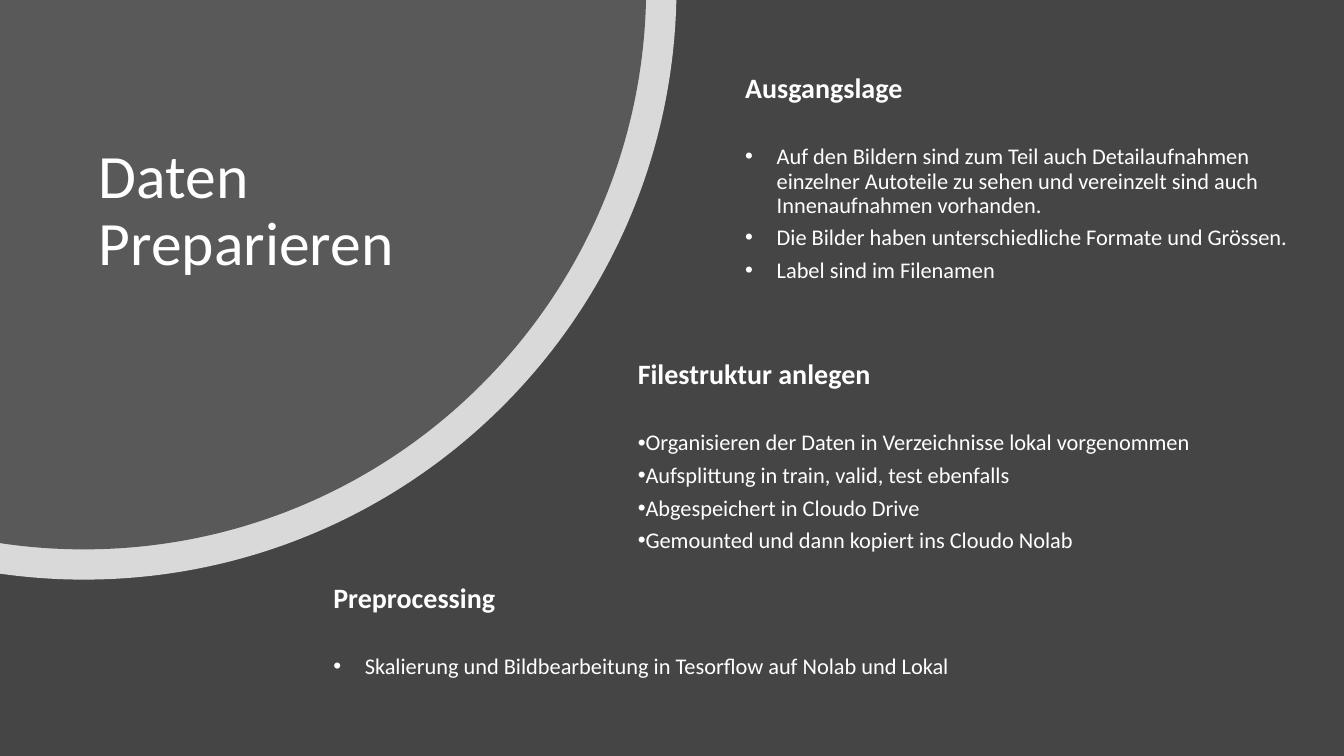
import math
from dataclasses import dataclass

from lxml import etree
from pptx import Presentation
from pptx.dml.color import RGBColor
from pptx.enum.text import MSO_ANCHOR
from pptx.oxml.ns import qn
from pptx.slide import Slide
from pptx.util import Pt

MIDDLE = MSO_ANCHOR.MIDDLE
FONT = "Calibri"
COLORS = {"background": "454545", "disc": "595959", "white": "FFFFFF"}
DISC_CENTER = (59.8, -9.4)
BLANK_LAYOUT = 6


@dataclass(frozen=True)
class Disc:
    radius: float
    color: str
    opacity: int


@dataclass(frozen=True)
class Section:
    left: float
    top: float
    width: float
    height: float
    margin: float
    indent: float
    heading: str
    bullets: tuple[str, ...]


DISCS = (Disc(423.4, "white", 80), Disc(401.8, "disc", 100))
SECTIONS = (
    Section(525.2, 49.7, 406, 177, 22.5, -22.5, "Ausgangslage", (
        "Auf den Bildern sind zum Teil auch Detailaufnahmen einzelner Autoteile "
        "zu sehen und vereinzelt sind auch Innenaufnahmen vorhanden.",
        "Die Bilder haben unterschiedliche Formate und Grössen.",
        "Label sind im Filenamen",
    )),
    Section(448.5, 254, 435, 149, 0, -18, "Filestruktur anlegen", (
        "Organisieren der Daten in Verzeichnisse lokal vorgenommen",
        "Aufsplittung in train, valid, test ebenfalls",
        "Abgespeichert in Cloudo Drive",
        "Gemounted und dann kopiert ins Cloudo Nolab",
    )),
    Section(231, 413.5, 474, 111, 22.5, -22.5, "Preprocessing", (
        "Skalierung und Bildbearbeitung in Tesorflow auf Nolab und Lokal",
    )),
)


def rgb(name: str) -> RGBColor:
    return RGBColor.from_string(COLORS[name])


def disc_point(radius: float, angle: float, tangent: float = 0) -> tuple[int, int]:
    """Return the rim point at the angle, moved along its tangent by a share of the radius."""
    center_x, center_y = DISC_CENTER
    cosine, sine = math.cos(angle), math.sin(angle)
    return (Pt(center_x + radius * (cosine - tangent * sine)),
            Pt(center_y + radius * (sine + tangent * cosine)))


def bend_line(line, radius: float, start: float, end: float) -> None:
    """Turn a straight path segment into a curve along the rim."""
    handle = 4 / 3 * math.tan((end - start) / 4)
    line.tag = qn("a:cubicBezTo")
    controls = (disc_point(radius, start, handle), disc_point(radius, end, -handle))
    for position, (x, y) in enumerate(controls):
        point = etree.Element(qn("a:pt"), x=str(x), y=str(y))
        line.insert(position, point)


def add_disc(page: Slide, disc: Disc) -> None:
    """Draw the part of the disc that lies inside the top left slide corner."""
    center_x, center_y = DISC_CENTER
    angles = (
        math.asin(-center_y / disc.radius),
        math.pi / 2,
        math.acos(-center_x / disc.radius),
    )
    builder = page.shapes.build_freeform(0, 0)
    builder.add_line_segments([disc_point(disc.radius, angle) for angle in angles])
    shape = builder.convert_to_shape()
    lines = shape._element.findall(".//" + qn("a:lnTo"))
    for line, start, end in zip(lines[1:], angles, angles[1:]):
        bend_line(line, disc.radius, start, end)
    shape.shadow.inherit = False
    shape.line.fill.background()
    shape.fill.solid()
    shape.fill.fore_color.rgb = rgb(disc.color)
    if disc.opacity < 100:
        color = shape.fill._xPr.find(".//" + qn("a:srgbClr"))
        etree.SubElement(color, qn("a:alpha"), val=str(disc.opacity * 1000))


def add_text_frame(page: Slide, left: float, top: float, width: float, height: float):
    box = page.shapes.add_textbox(Pt(left), Pt(top), Pt(width), Pt(height))
    box.text_frame.word_wrap = True
    return box.text_frame


def format_paragraph(para, size: float, after: float = 0, bold: bool = False) -> None:
    para.line_spacing = 0.9
    para.space_after = Pt(after)
    for span in para.runs:
        span.font.name = FONT
        span.font.size = Pt(size)
        span.font.bold = bold
        span.font.color.rgb = rgb("white")


def add_bullet(para, margin: float, indent: float) -> None:
    properties = para._p.get_or_add_pPr()
    properties.set("marL", str(Pt(margin)))
    properties.set("indent", str(Pt(indent)))
    etree.SubElement(properties, qn("a:buFont"), typeface="Arial")
    etree.SubElement(properties, qn("a:buChar"), char="•")


def add_title(page: Slide, title: str) -> None:
    frame = add_text_frame(page, 63.5, 29, 268, 245)
    frame.vertical_anchor = MIDDLE
    frame.text = title
    format_paragraph(frame.paragraphs[0], 44)


def add_section(page: Slide, section: Section) -> None:
    frame = add_text_frame(page, section.left, section.top, section.width, section.height)
    frame.text = section.heading
    format_paragraph(frame.paragraphs[0], 20, after=29.2, bold=True)
    for bullet in section.bullets:
        para = frame.add_paragraph()
        para.text = bullet
        format_paragraph(para, 16, after=6)
        add_bullet(para, section.margin, section.indent)


def main() -> None:
    deck = Presentation()
    deck.slide_width, deck.slide_height = Pt(960), Pt(540)
    page = deck.slides.add_slide(deck.slide_layouts[BLANK_LAYOUT])
    page.background.fill.solid()
    page.background.fill.fore_color.rgb = rgb("background")
    for disc in DISCS:
        add_disc(page, disc)
    add_title(page, "Daten Preparieren")
    for section in SECTIONS:
        add_section(page, section)
    deck.save("out.pptx")


if __name__ == "__main__":
    main()
